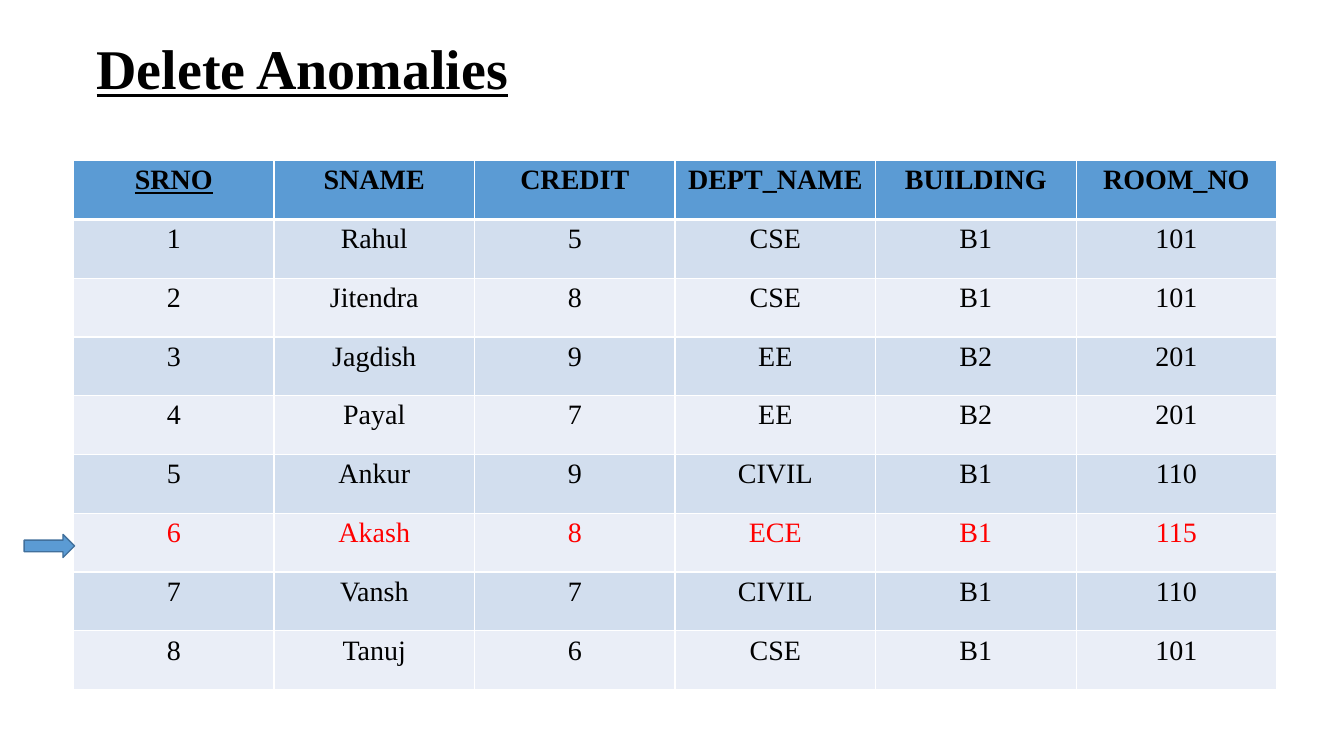
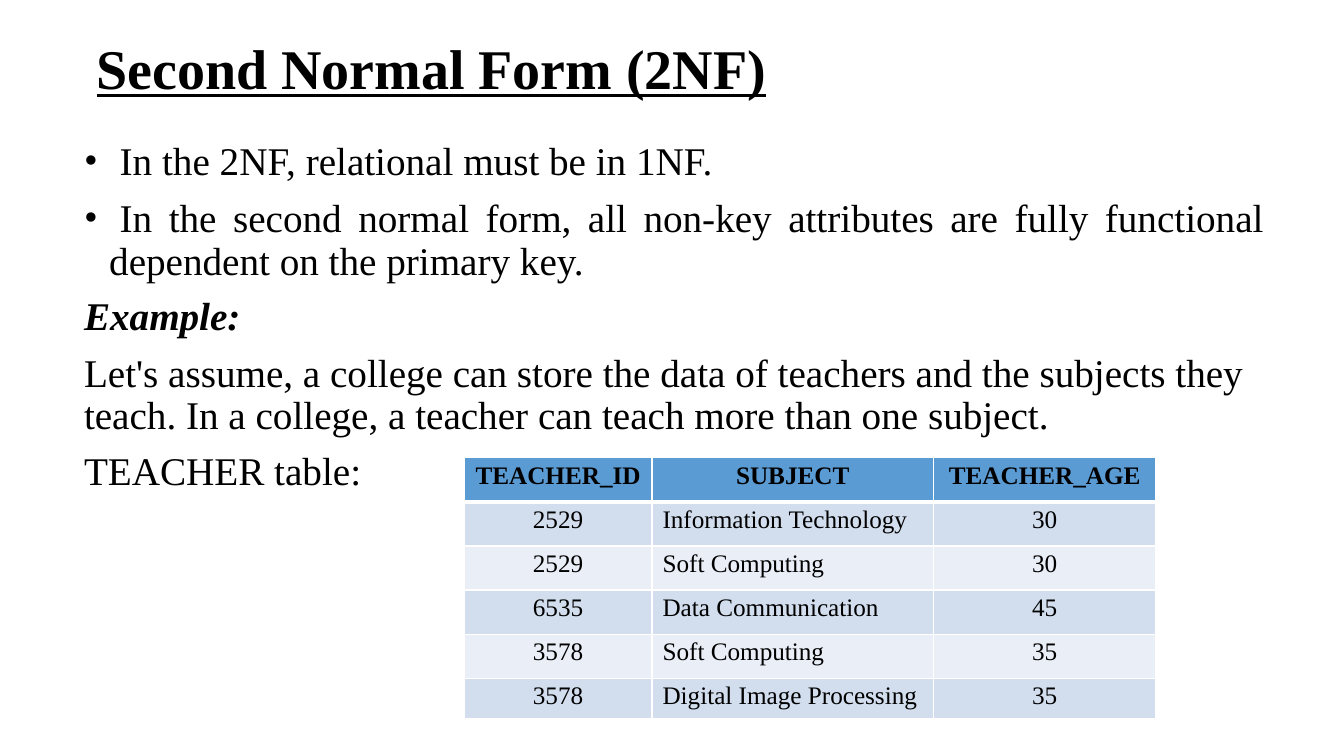
"""Build two database normalisation slides: delete anomalies and second normal form."""
from lxml.etree import SubElement
from pptx import Presentation
from pptx.dml.color import RGBColor
from pptx.enum.shapes import MSO_SHAPE
from pptx.enum.text import MSO_ANCHOR, PP_ALIGN as AL
from pptx.oxml.ns import qn
from pptx.util import Emu, Pt

PX = 9525
FONT = "Times New Roman"
BLACK = RGBColor(0x00, 0x00, 0x00)
RED = RGBColor(0xFF, 0x00, 0x00)
BLUE = RGBColor(0x5B, 0x9B, 0xD4)
DARK_BLUE = RGBColor(0x41, 0x70, 0x9C)
BANDS = (RGBColor(0xD2, 0xDE, 0xEE), RGBColor(0xEA, 0xEE, 0xF7))

STUDENTS = [
    ("SRNO", "SNAME", "CREDIT", "DEPT_NAME", "BUILDING", "ROOM_NO"),
    ("1", "Rahul", "5", "CSE", "B1", "101"),
    ("2", "Jitendra", "8", "CSE", "B1", "101"),
    ("3", "Jagdish", "9", "EE", "B2", "201"),
    ("4", "Payal", "7", "EE", "B2", "201"),
    ("5", "Ankur", "9", "CIVIL", "B1", "110"),
    ("6", "Akash", "8", "ECE", "B1", "115"),
    ("7", "Vansh", "7", "CIVIL", "B1", "110"),
    ("8", "Tanuj", "6", "CSE", "B1", "101"),
]
DELETED_ROW = 6
TEACHERS = [
    ("TEACHER_ID", "SUBJECT", "TEACHER_AGE"),
    ("2529", "Information Technology", "30"),
    ("2529", "Soft Computing", "30"),
    ("6535", "Data Communication", "45"),
    ("3578", "Soft Computing", "35"),
    ("3578", "Digital Image Processing", "35"),
]
BODY = [
    ("In the 2NF, relational must be in 1NF.", dict(hang=34)),
    ("\tIn the second normal form, all non-key attributes are fully functional "
     "dependent on the primary key.",
     dict(hang=24, tab=34, align=AL.JUSTIFY, line=30.2, before=10.6)),
    ("Example:", dict(bold=True, italic=True, before=6.2)),
    ("Let's assume, a college can store the data of teachers and the subjects they "
     "teach. In a college, a teacher can teach more than one subject.",
     dict(line=30.2, before=10.4)),
    ("TEACHER table:", dict(before=6.3)),
]


def px(n):
    return Emu(n * PX)


def write(p, text, size, color=BLACK, bold=False, italic=False, underline=False,
          align=AL.LEFT, before=0, line=None, hang=0, tab=0):
    if hang:
        pPr = p._p.get_or_add_pPr()
        pPr.set("marL", str(px(hang)))
        pPr.set("indent", str(-px(hang)))
        SubElement(pPr, qn("a:buFont"), typeface=FONT)
        SubElement(pPr, qn("a:buChar"), char="•")
        if tab:
            tabs = SubElement(pPr, qn("a:tabLst"))
            SubElement(tabs, qn("a:tab"), pos=str(px(tab)), algn="l")
    p.alignment = align
    p.space_before = Pt(before)
    if line:
        p.line_spacing = Pt(line)
    r = p.add_run()
    r.text = text
    f = r.font
    f.name, f.size, f.bold, f.italic, f.underline = FONT, Pt(size), bold, italic, underline
    f.color.rgb = color


def add_text_frame(s, x, y, w, h, top):
    tf = s.shapes.add_textbox(px(x), px(y), px(w), px(h)).text_frame
    tf.word_wrap = True
    tf.vertical_anchor = MSO_ANCHOR.TOP
    tf.margin_left = tf.margin_right = tf.margin_bottom = 0
    tf.margin_top = px(top)
    return tf


def add_titled_slide(prs, title):
    s = prs.slides.add_slide(prs.slide_layouts[6])
    tf = add_text_frame(s, 92, 3, 1097, 112, 29)
    write(tf.paragraphs[0], title, 40, bold=True, underline=True)
    return s


def set_borders(cell, **widths):
    tcPr = cell._tc.get_or_add_tcPr()
    for side in "LRTB":
        ln = SubElement(tcPr, qn("a:ln" + side), w=str(Pt(widths.get(side, 1))))
        fill = SubElement(ln, qn("a:solidFill"))
        SubElement(fill, qn("a:srgbClr"), val="FFFFFF")


def add_grid(s, rows, x, y, col_widths, row_heights, size,
             left_cols=(), key_cols=(), red_row=None):
    table = s.shapes.add_table(len(rows), len(col_widths), px(x), px(y),
                               px(sum(col_widths)), px(sum(row_heights))).table
    for col, w in zip(table.columns, col_widths):
        col.width = px(w)
    for i, (row, h) in enumerate(zip(rows, row_heights)):
        table.rows[i].height = px(h)
        header = i == 0
        for j, text in enumerate(row):
            cell = table.cell(i, j)
            left = j in left_cols and not header
            cell.margin_left = px(10 if left else 0)
            cell.margin_right = cell.margin_bottom = 0
            cell.margin_top = px(4)
            set_borders(cell, T=3 if i == 1 else 1, B=3 if header else 1)
            cell.fill.solid()
            cell.fill.fore_color.rgb = BLUE if header else BANDS[(i - 1) % 2]
            write(cell.text_frame.paragraphs[0], text, size,
                  color=RED if i == red_row else BLACK, bold=header,
                  underline=header and j in key_cols,
                  align=AL.LEFT if left else AL.CENTER)


def build_anomalies(prs):
    s = add_titled_slide(prs, "Delete Anomalies")
    add_grid(s, STUDENTS, 70, 153, [191] * 6, [56] * len(STUDENTS), 20,
             key_cols=(0,), red_row=DELETED_ROW)
    sp = s.shapes.add_shape(MSO_SHAPE.RIGHT_ARROW, px(23), px(509), px(48), px(22))
    sp.shadow.inherit = False
    sp.fill.solid()
    sp.fill.fore_color.rgb = BLUE
    sp.line.color.rgb = DARK_BLUE
    sp.line.width = Pt(0.96)


def build_second_form(prs):
    s = add_titled_slide(prs, "Second Normal Form (2NF)")
    tf = add_text_frame(s, 80, 116, 1124, 352, 14)
    for i, (text, style) in enumerate(BODY):
        p = tf.add_paragraph() if i else tf.paragraphs[0]
        write(p, text, 28, **style)
    add_grid(s, TEACHERS, 442, 436, [179, 268, 212], [42] * 5 + [38], 18, left_cols=(1,))


def main():
    prs = Presentation()
    prs.slide_width, prs.slide_height = px(1280), px(720)
    build_anomalies(prs)
    build_second_form(prs)
    prs.save("out.pptx")


if __name__ == "__main__":
    main()
